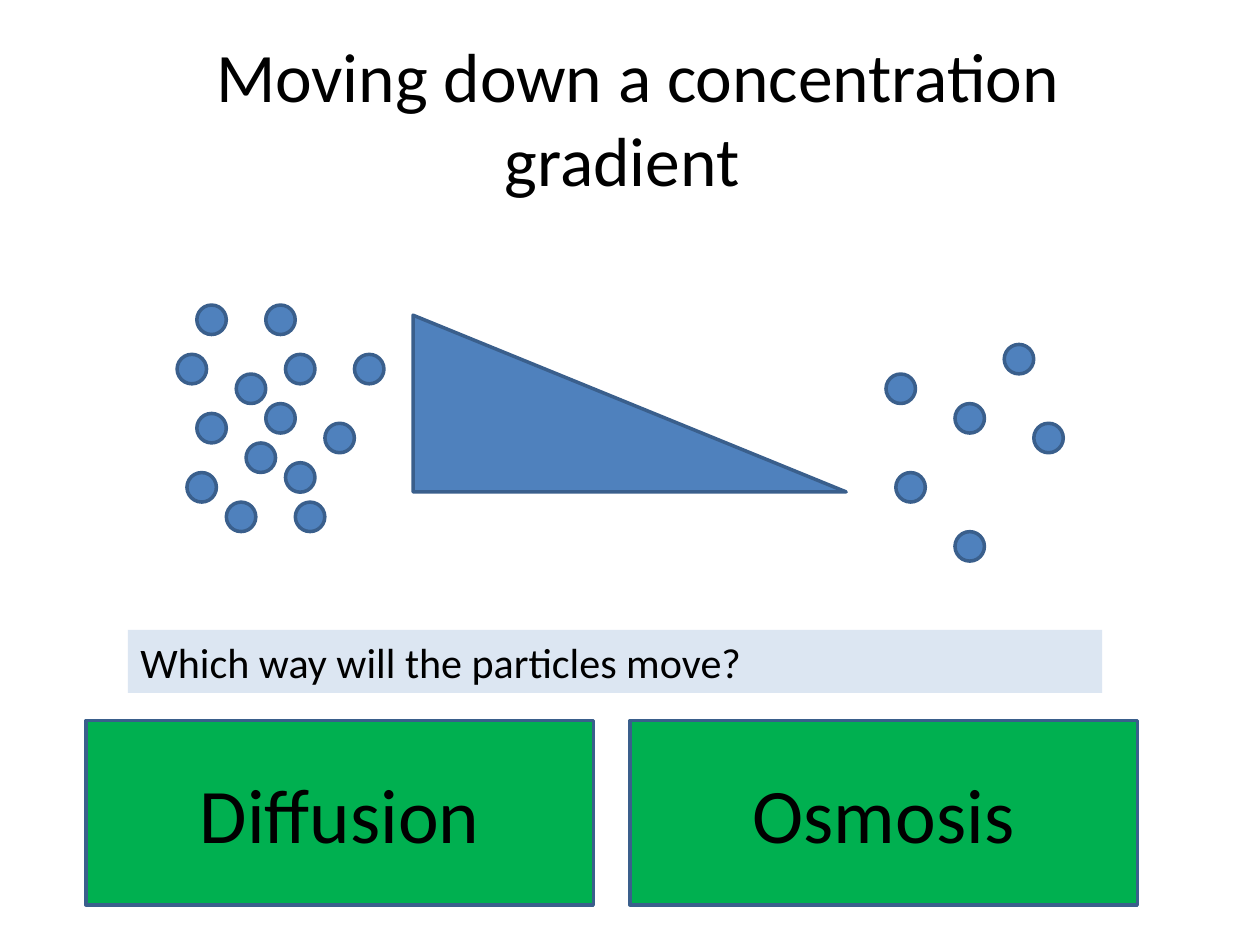
import pptx
import pptx.util
import pptx.dml.color
import pptx.enum.shapes
import pptx.enum.text
from dataclasses import dataclass

Pt = pptx.util.Pt
SHAPE = pptx.enum.shapes.MSO_SHAPE
ALIGN = pptx.enum.text.PP_ALIGN
ANCHOR = pptx.enum.text.MSO_ANCHOR


@dataclass(frozen=True)
class Theme:
    font: str = "Calibri"
    ink: str = "000000"
    particle: str = "4F81BD"
    outline: str = "3A5F8C"
    question: str = "DCE6F2"
    answer: str = "00B050"
    title_size: float = 39.6
    question_size: float = 24
    answer_size: float = 44
    line_width: float = 2


THEME = Theme()
SLIDE_SIZE = (718.62, 539)

TITLE = " Moving down a concentration gradient "
TITLE_BOX = (36, 21.6, 646.62, 89.8)
GRADIENT_BOX = (235.6, 179.8, 247, 100.8)
QUESTION = "Which way will the particles move?"
QUESTION_BOX = (73, 359.3, 555.6, 36)
ANSWERS = ["Diffusion", "Osmosis"]
FIRST_ANSWER_BOX = (49, 411, 289.4, 105.1)
ANSWER_GAP = 20.9

PARTICLE_DIAMETER = 16.8
GRID_STEP = 5.62
GRID_TOP = 174
CLUSTERS = [
    (101, [(2, 0), (9, 0), (0, 5), (6, 7), (7, 14), (11, 5), (18, 5),
           (9, 10), (15, 12), (2, 11), (11, 16), (12, 20), (1, 17), (5, 20)]),
    (505.3, [(7, 10), (12, 4), (15, 12), (0, 7), (1, 17), (7, 23)]),
]


def rgb(value):
    return pptx.dml.color.RGBColor.from_string(value)


def add_part(slide, kind, box, fill, outlined=True):
    part = slide.shapes.add_shape(kind, *map(Pt, box))
    part.shadow.inherit = False
    part.fill.solid()
    part.fill.fore_color.rgb = rgb(fill)
    if outlined:
        part.line.color.rgb = rgb(THEME.outline)
        part.line.width = Pt(THEME.line_width)
    else:
        part.line.fill.background()
    return part


def write(part, wording, size, align, anchor):
    frame = part.text_frame
    frame.text = wording
    frame.word_wrap = True
    frame.auto_size = pptx.enum.text.MSO_AUTO_SIZE.NONE
    frame.vertical_anchor = anchor
    paragraph = frame.paragraphs[0]
    paragraph.alignment = align
    paragraph.font.name = THEME.font
    paragraph.font.size = Pt(size)
    paragraph.font.color.rgb = rgb(THEME.ink)


def main():
    deck = pptx.Presentation()
    deck.slide_width, deck.slide_height = map(Pt, SLIDE_SIZE)
    slide = deck.slides.add_slide(deck.slide_layouts[5])

    title = slide.shapes.title
    title.left, title.top, title.width, title.height = map(Pt, TITLE_BOX)
    write(title, TITLE, THEME.title_size, ALIGN.CENTER, ANCHOR.MIDDLE)

    add_part(slide, SHAPE.RIGHT_TRIANGLE, GRADIENT_BOX, THEME.particle)

    for cluster_left, particles in CLUSTERS:
        for column, row in particles:
            particle_box = (cluster_left + column * GRID_STEP,
                            GRID_TOP + row * GRID_STEP,
                            PARTICLE_DIAMETER, PARTICLE_DIAMETER)
            add_part(slide, SHAPE.OVAL, particle_box, THEME.particle)

    question = add_part(slide, SHAPE.RECTANGLE, QUESTION_BOX, THEME.question, outlined=False)
    write(question, QUESTION, THEME.question_size, ALIGN.LEFT, ANCHOR.TOP)

    left, top, width, height = FIRST_ANSWER_BOX
    for index, wording in enumerate(ANSWERS):
        answer_box = (left + index * (width + ANSWER_GAP), top, width, height)
        answer = add_part(slide, SHAPE.RECTANGLE, answer_box, THEME.answer)
        write(answer, wording, THEME.answer_size, ALIGN.CENTER, ANCHOR.MIDDLE)

    deck.save("out.pptx")


if __name__ == "__main__":
    main()
